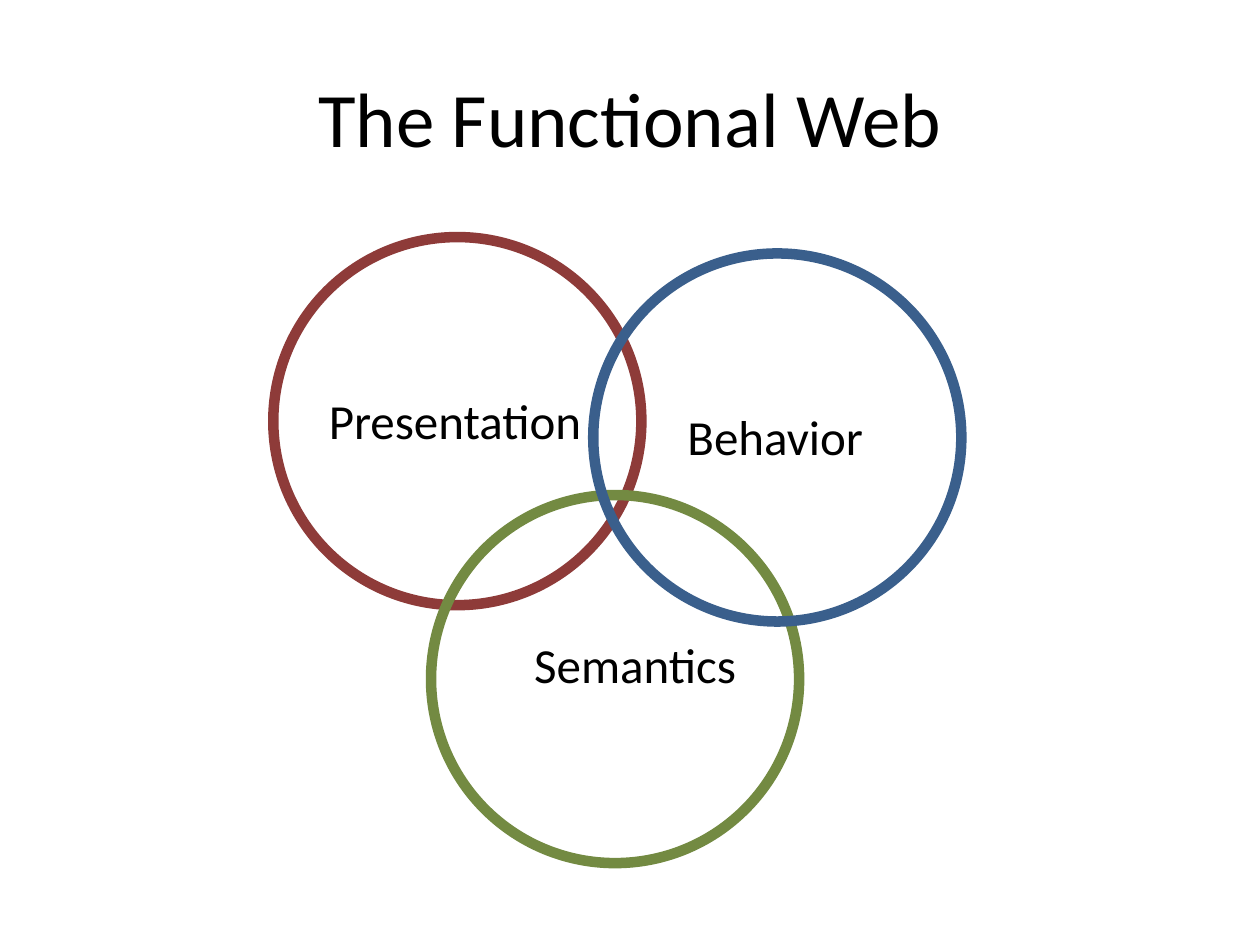
from pptx import Presentation
from pptx import util as u
from pptx.dml.color import RGBColor
from pptx.enum import shapes, text

COLOURS = {"text": "000000", "red": "8E3B39", "green": "738A42", "blue": "3A5F8C"}
FONT = "Calibri"
DIAMETER = 7.42
LABEL_HEIGHT = 1.45


def colour(name):
    return RGBColor.from_string(COLOURS[name])


def set_all(target, values):
    for name, value in values.items():
        setattr(target, name, value)


def write(frame, wording, size, align):
    para = frame.paragraphs[0]
    para.alignment = align
    span = para.add_run()
    span.text = wording
    set_all(span.font, {"name": FONT, "size": u.Pt(size)})
    span.font.color.rgb = colour("text")


def place_title(page, wording):
    title = page.shapes.title
    set_all(title, {"left": u.Cm(1.27), "top": u.Cm(0.76),
                    "width": u.Cm(22.86), "height": u.Cm(3.18)})
    title.text_frame.vertical_anchor = text.MSO_ANCHOR.MIDDLE
    write(title.text_frame, wording, 44, text.PP_ALIGN.CENTER)


def add_ring(group, left, top, colour_name):
    ring = group.shapes.add_shape(shapes.MSO_SHAPE.OVAL, u.Cm(left), u.Cm(top),
                                  u.Cm(DIAMETER), u.Cm(DIAMETER))
    ring.shadow.inherit = False
    ring.fill.background()
    ring.line.color.rgb = colour(colour_name)
    ring.line.width = u.Pt(6)


def add_label(group, left, top, width, wording):
    box = group.shapes.add_textbox(u.Cm(left), u.Cm(top), u.Cm(width), u.Cm(LABEL_HEIGHT))
    set_all(box.text_frame, {"word_wrap": False,
                             "auto_size": text.MSO_AUTO_SIZE.SHAPE_TO_FIT_TEXT})
    write(box.text_frame, wording, 28, text.PP_ALIGN.LEFT)


def main():
    deck = Presentation()
    set_all(deck, {"slide_width": u.Cm(25.4), "slide_height": u.Cm(19.05)})
    page = deck.slides.add_slide(deck.slide_layouts[5])
    place_title(page, "The Functional Web")

    # Venn diagram, from back to front
    venn = page.shapes.add_group_shape()
    add_ring(venn, 5.51, 4.78, "red")
    add_ring(venn, 8.69, 9.98, "green")
    add_label(venn, 10.52, 12.67, 4.62, "Semantics")
    add_ring(venn, 11.96, 5.11, "blue")
    add_label(venn, 13.61, 8.08, 4.09, "Behavior")
    add_label(venn, 6.38, 7.75, 5.66, "Presentation")

    deck.save("out.pptx")


if __name__ == "__main__":
    main()
